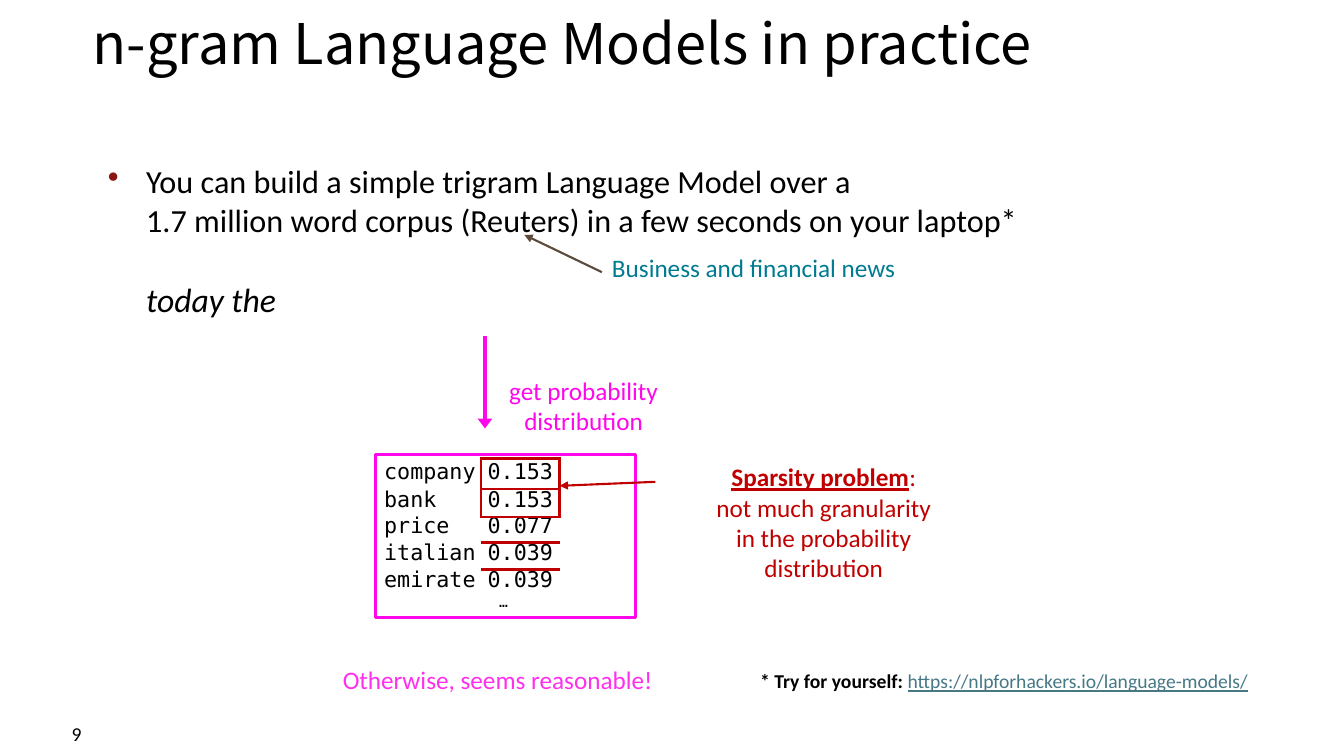
from dataclasses import dataclass

from lxml import etree
from pptx import Presentation
from pptx.dml.color import RGBColor
from pptx.enum.shapes import MSO_CONNECTOR, MSO_SHAPE
from pptx.enum.text import MSO_ANCHOR, PP_ALIGN
from pptx.oxml.ns import qn
from pptx.util import Inches, Pt

STRAIGHT = MSO_CONNECTOR.STRAIGHT
RECTANGLE = MSO_SHAPE.RECTANGLE
TOP, MIDDLE = MSO_ANCHOR.TOP, MSO_ANCHOR.MIDDLE
LEFT, CENTER, RIGHT = PP_ALIGN.LEFT, PP_ALIGN.CENTER, PP_ALIGN.RIGHT
NO_TABLE_STYLE = "{2D5ABB26-0587-4C30-8999-92F81FD0307C}"


@dataclass(frozen=True)
class Theme:
    title_font: str = "Noto Sans CJK JP"
    body_font: str = "Calibri"
    mono_font: str = "DejaVu Sans Mono"
    black: str = "000000"
    bullet: str = "8B1515"
    teal: str = "007B92"
    magenta: str = "FF07EB"
    pink: str = "FF2FED"
    red: str = "C00000"
    brown: str = "5D4A3B"
    link: str = "467886"
    title: float = 40
    body: float = 23
    prompt: float = 24
    label: float = 18
    note: float = 14
    mono: float = 15.5
    ellipsis: float = 10.5


THEME = Theme()

# Word, probability, row height in inches, line spacing in points
PROBABILITIES = [
    ("company", "0.153", 0.30, 18.5),
    ("bank", "0.153", 0.28, 16.7),
    ("price", "0.077", 0.25, 15.6),
    ("italian", "0.039", 0.27, 16.7),
    ("emirate", "0.039", 0.24, 16.6),
]
TOP_GAP = 0.04
# Borders by (row, column): side and width in points
BORDERS = {
    (0, 1): {"B": 2.25},
    (1, 0): {"R": 2.25},
    (1, 1): {"L": 2.25, "R": 2.25, "T": 2.25, "B": 1.5},
    (2, 0): {"R": 2.25},
    (2, 1): {"L": 2.25, "R": 2.25, "T": 1.5, "B": 2.25},
    (3, 1): {"T": 2.25, "B": 2.25},
    (4, 1): {"T": 2.25},
}


def style_run(run, size, color, font=THEME.body_font, bold=False, italic=False, underline=False):
    run.font.name, run.font.size = font, Pt(size)
    run.font.color.rgb = RGBColor.from_string(color)
    run.font.bold, run.font.italic, run.font.underline = bold, italic, underline


def add_run(paragraph, text, size, color, **style):
    run = paragraph.add_run()
    run.text = text
    style_run(run, size, color, **style)


def set_indent(paragraph, margin, first_line=0.0):
    properties = paragraph._p.get_or_add_pPr()
    properties.set("marL", str(Inches(margin)))
    properties.set("indent", str(Inches(first_line)))
    return properties


def add_text(slide, box, top_inset=0.02, anchor=TOP):
    frame = slide.shapes.add_textbox(*map(Inches, box)).text_frame
    frame.word_wrap = True
    frame.vertical_anchor = anchor
    frame.margin_left = frame.margin_right = frame.margin_bottom = 0
    frame.margin_top = Inches(top_inset)
    return frame


def add_label(slide, box, text, size, color, font=THEME.body_font, align=LEFT, **placing):
    paragraph = add_text(slide, box, **placing).paragraphs[0]
    paragraph.text = text
    paragraph.alignment = align
    style_run(paragraph.runs[0], size, color, font)
    return paragraph


def add_arrow(slide, start, end, color, width, head_length="med"):
    arrow = slide.shapes.add_connector(STRAIGHT, *map(Inches, start + end))
    arrow.line.color.rgb = RGBColor.from_string(color)
    arrow.line.width = Pt(width)
    etree.SubElement(arrow.line._get_or_add_ln(), qn("a:tailEnd"),
                     type="triangle", w="med", len=head_length)
    etree.SubElement(arrow._element.spPr, qn("a:effectLst"))


def add_borders(cell, sides):
    properties = cell._tc.get_or_add_tcPr()
    for side in "LRTB":
        if side in sides:
            line = etree.SubElement(properties, qn("a:ln" + side), w=str(Pt(sides[side])))
            fill = etree.SubElement(line, qn("a:solidFill"))
            etree.SubElement(fill, qn("a:srgbClr"), val=THEME.red)


def add_body(slide):
    frame = add_text(slide, (1.06, 1.56, 9.12, 1.6), top_inset=0.04)
    # Text, size, colour, left margin, space before, exact line spacing
    lines = [
        ("You can build a simple trigram Language Model over a", THEME.body, THEME.black, 0.39, 0, None),
        ("1.7 million word corpus (Reuters) in a few seconds on your laptop*",
         THEME.body, THEME.black, 0.39, 0.2, None),
        ("Business and financial news", THEME.label, THEME.teal, 5.01, 12.8, 18.6),
        ("today the", THEME.prompt, THEME.black, 0.39, 0, 25.9),
    ]
    for i, (text, size, color, margin, before, spacing) in enumerate(lines):
        paragraph = frame.add_paragraph() if i else frame.paragraphs[0]
        properties = set_indent(paragraph, margin, 0 if i else -0.38)
        if before:
            paragraph.space_before = Pt(before)
        if spacing:
            paragraph.line_spacing = Pt(spacing)
        if i == 0:
            bullet_color = etree.SubElement(properties, qn("a:buClr"))
            etree.SubElement(bullet_color, qn("a:srgbClr"), val=THEME.bullet)
            etree.SubElement(properties, qn("a:buChar"), char="•")
        add_run(paragraph, text, size, color, italic=text == "today the")


def add_probability_table(slide):
    heights = [TOP_GAP] + [row[2] for row in PROBABILITIES]
    frame = slide.shapes.add_table(len(heights), 2, Inches(3.72), Inches(4.51),
                                   Inches(1.83), Inches(sum(heights)))
    table = frame.table
    table.first_row = table.horz_banding = False
    table._tbl.tblPr.find(qn("a:tableStyleId")).text = NO_TABLE_STYLE
    for column, width in zip(table.columns, (1.05, 0.78)):
        column.width = Inches(width)
    for r, height in enumerate(heights):
        table.rows[r].height = Inches(height)
        for c in range(2):
            cell = table.cell(r, c)
            cell.margin_left = cell.margin_right = cell.margin_top = cell.margin_bottom = 0
            add_borders(cell, BORDERS.get((r, c), {}))
            cell.fill.background()
            paragraph = cell.text_frame.paragraphs[0]
            if r == 0:
                paragraph._p.get_or_add_endParaRPr().set("sz", "100")
                continue
            entry = PROBABILITIES[r - 1]
            paragraph.text = entry[c]
            paragraph.line_spacing = Pt(entry[3])
            if c:
                paragraph.alignment = CENTER
            else:
                set_indent(paragraph, 0.09)
            style_run(paragraph.runs[0], THEME.mono, THEME.black, THEME.mono_font)


def add_distribution_box(slide):
    box = slide.shapes.add_shape(RECTANGLE, *map(Inches, (3.72, 4.51, 2.58, 1.62)))
    box.shadow.inherit = False
    box.fill.background()
    box.line.color.rgb = RGBColor.from_string(THEME.magenta)
    box.line.width = Pt(2.25)


def main():
    deck = Presentation()
    deck.slide_width, deck.slide_height = Inches(13.33), Inches(7.5)
    slide = deck.slides.add_slide(deck.slide_layouts[6])

    # Title, page number and body
    add_label(slide, (0.92, 0, 11.5, 0.81), "n-gram Language Models in practice",
              THEME.title, THEME.black, THEME.title_font, anchor=MIDDLE)
    add_label(slide, (0.5, 7.16, 0.31, 0.23), "9", THEME.note, THEME.black,
              align=RIGHT, top_inset=0, anchor=MIDDLE)
    add_body(slide)

    # Footnote and closing remark
    footnote = add_label(slide, (7.54, 6.6, 4.95, 0.27), "* Try for yourself: ",
                         THEME.note, THEME.black, top_inset=0.04)
    footnote.runs[0].font.bold = True
    add_run(footnote, "https://nlpforhackers.io/language-models/", THEME.note, THEME.link, underline=True)
    add_label(slide, (3.4, 6.57, 3.2, 0.33), "Otherwise, seems reasonable!", THEME.label, THEME.pink)

    # Probability distribution
    add_arrow(slide, (4.81, 3.33), (4.81, 4.25), THEME.magenta, 3.5, "sm")
    add_distribution_box(slide)
    step = add_label(slide, (5.04, 3.7, 1.6, 0.63), "get probability distribution",
                     THEME.label, THEME.magenta)
    set_indent(step, 0.16, -0.15)

    # Sparsity remark
    remark = add_label(slide, (7.09, 4.56, 2.16, 1.24), "Sparsity problem",
                       THEME.label, THEME.red, align=CENTER)
    remark.runs[0].font.bold = remark.runs[0].font.underline = True
    add_run(remark, ":", THEME.label, THEME.red)
    remark.add_line_break()
    add_run(remark, "not much granularity in the probability distribution", THEME.label, THEME.red)
    add_arrow(slide, (6.5, 4.78), (5.55, 4.82), THEME.red, 1.5)

    # Table of next words
    add_probability_table(slide)
    add_label(slide, (4.95, 5.86, 0.13, 0.2), "…", THEME.ellipsis, THEME.black, THEME.mono_font)

    # Pointer to the corpus
    add_arrow(slide, (5.97, 2.7), (5.2, 2.33), THEME.brown, 1.5)
    deck.save("out.pptx")


if __name__ == "__main__":
    main()
